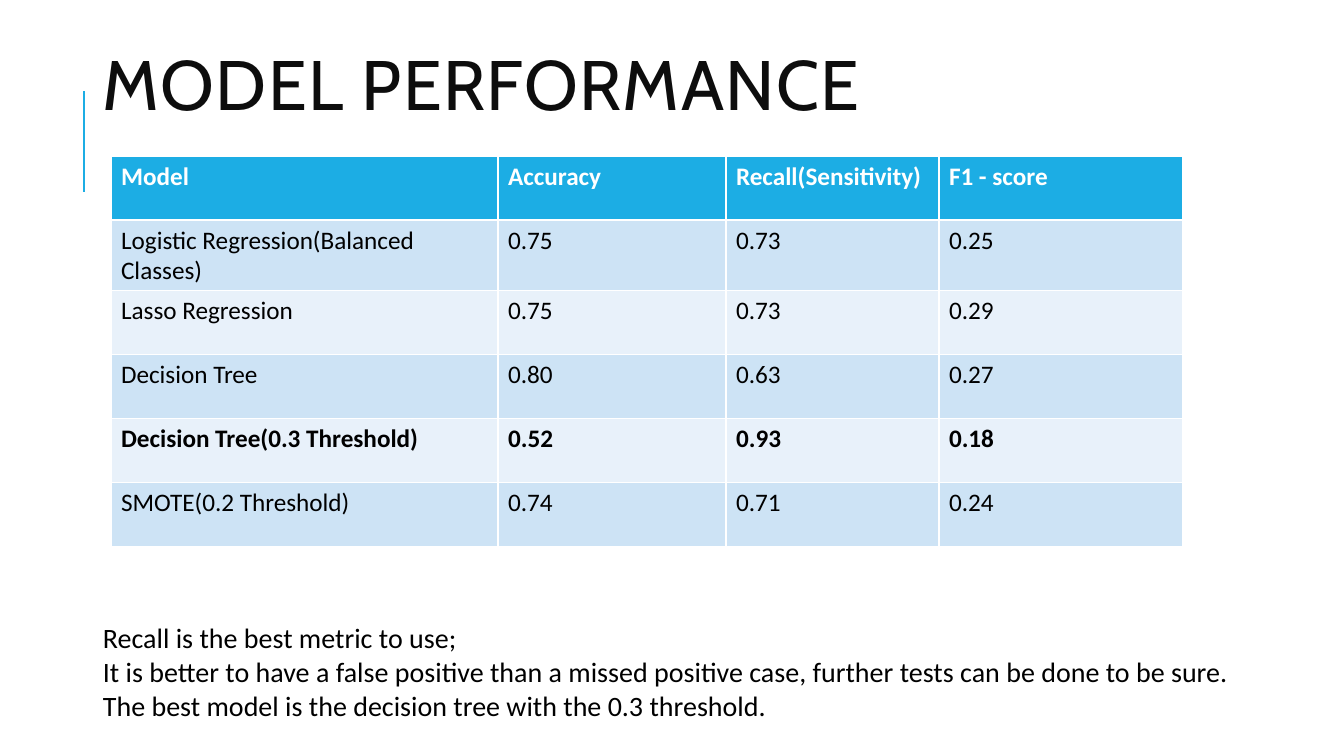
from dataclasses import dataclass

from lxml import etree
from pptx import Presentation
from pptx import util as u
from pptx.dml.color import RGBColor
from pptx.enum import shapes, text
from pptx.oxml import ns

SLIDE_W, SLIDE_H = 1344, 756
EMU_PER_PX = 12192000 / SLIDE_W

ACCENT = "1CADE4"
BANDS = ("CDE3F5", "E8F1FA")
BLACK, WHITE, TITLE_INK = "000000", "FFFFFF", "0D0D0D"

COLUMN_WIDTHS = (387, 228, 213, 244)
ROW_HEIGHT = 64
HEADINGS = ("Model", "Accuracy", "Recall(Sensitivity)", "F1 - score")


@dataclass(frozen=True)
class ModelScore:
    name: str
    accuracy: float
    recall: float
    f1: float
    best: bool = False

    def cells(self) -> tuple[str, ...]:
        scores = (self.accuracy, self.recall, self.f1)
        return (self.name, *(f"{score:.2f}" for score in scores))


SCORES = (
    ModelScore("Logistic Regression(Balanced Classes)", 0.75, 0.73, 0.25),
    ModelScore("Lasso Regression", 0.75, 0.73, 0.29),
    ModelScore("Decision Tree", 0.80, 0.63, 0.27),
    ModelScore("Decision Tree(0.3 Threshold)", 0.52, 0.93, 0.18, best=True),
    ModelScore("SMOTE(0.2 Threshold)", 0.74, 0.71, 0.24),
)

CONCLUSIONS = (
    "Recall is the best metric to use;",
    "It is better to have a false positive than a missed positive case, "
    "further tests can be done to be sure.",
    "The best model is the decision tree with the 0.3 threshold.",
)


def px(n: float) -> int:
    return u.Emu(round(n * EMU_PER_PX))


def rgb(value: str) -> RGBColor:
    return RGBColor.from_string(value)


def write(tf, *lines: str, size: float, color: str = BLACK, font: str = "Calibri",
          bold: bool = False, line_spacing: float = 1.0, tracking: float = 0) -> None:
    for i, line in enumerate(lines):
        p = tf.add_paragraph() if i else tf.paragraphs[0]
        p.line_spacing = line_spacing
        r = p.add_run()
        r.text = line
        r.font.size = u.Pt(size)
        r.font.name = font
        r.font.bold = bold
        r.font.color.rgb = rgb(color)
        if tracking:
            r._r.get_or_add_rPr().set("spc", str(round(tracking * 100)))


def add_text_frame(slide, left: int, top: int, width: int, height: int, anchor):
    sp = slide.shapes.add_textbox(px(left), px(top), px(width), px(height))
    tf = sp.text_frame
    tf.word_wrap = True
    tf.vertical_anchor = anchor
    return tf


def add_accent_line(slide, x: int, top: int, bottom: int) -> None:
    line = slide.shapes.add_connector(
        shapes.MSO_CONNECTOR.STRAIGHT, px(x), px(bottom), px(x), px(top))
    line.line.color.rgb = rgb(ACCENT)
    line.line.width = u.Pt(1.5)
    etree.SubElement(line._element.spPr, ns.qn("a:effectLst"))


def fill_row(table, row: int, values: tuple[str, ...], fill: str, color: str,
             bold: bool) -> None:
    for col, value in enumerate(values):
        cell = table.cell(row, col)
        cell.fill.solid()
        cell.fill.fore_color.rgb = rgb(fill)
        write(cell.text_frame, value, size=18, color=color, bold=bold)


def add_score_table(slide, left: int, top: int) -> None:
    rows = len(SCORES) + 1
    table = slide.shapes.add_table(
        rows, len(HEADINGS), px(left), px(top),
        px(sum(COLUMN_WIDTHS)), px(rows * ROW_HEIGHT)).table
    for column, width in zip(table.columns, COLUMN_WIDTHS):
        column.width = px(width)
    fill_row(table, 0, HEADINGS, ACCENT, WHITE, True)
    for i, score in enumerate(SCORES):
        fill_row(table, i + 1, score.cells(), BANDS[i % 2], BLACK, score.best)


def main() -> None:
    prs = Presentation()
    prs.slide_width, prs.slide_height = px(SLIDE_W), px(SLIDE_H)
    slide = prs.slides.add_slide(prs.slide_layouts[6])

    add_accent_line(slide, 84, 91, 192)
    title = add_text_frame(slide, 93, 40, 1159, 100, text.MSO_ANCHOR.MIDDLE)
    write(title, "MODEL PERFORMANCE", size=50, color=TITLE_INK, font="Cabin",
          line_spacing=0.8, tracking=1)
    add_score_table(slide, 111, 156)
    notes = add_text_frame(slide, 93, 616, 1159, 112, text.MSO_ANCHOR.TOP)
    write(notes, *CONCLUSIONS, size=20)

    prs.save("out.pptx")


if __name__ == "__main__":
    main()
